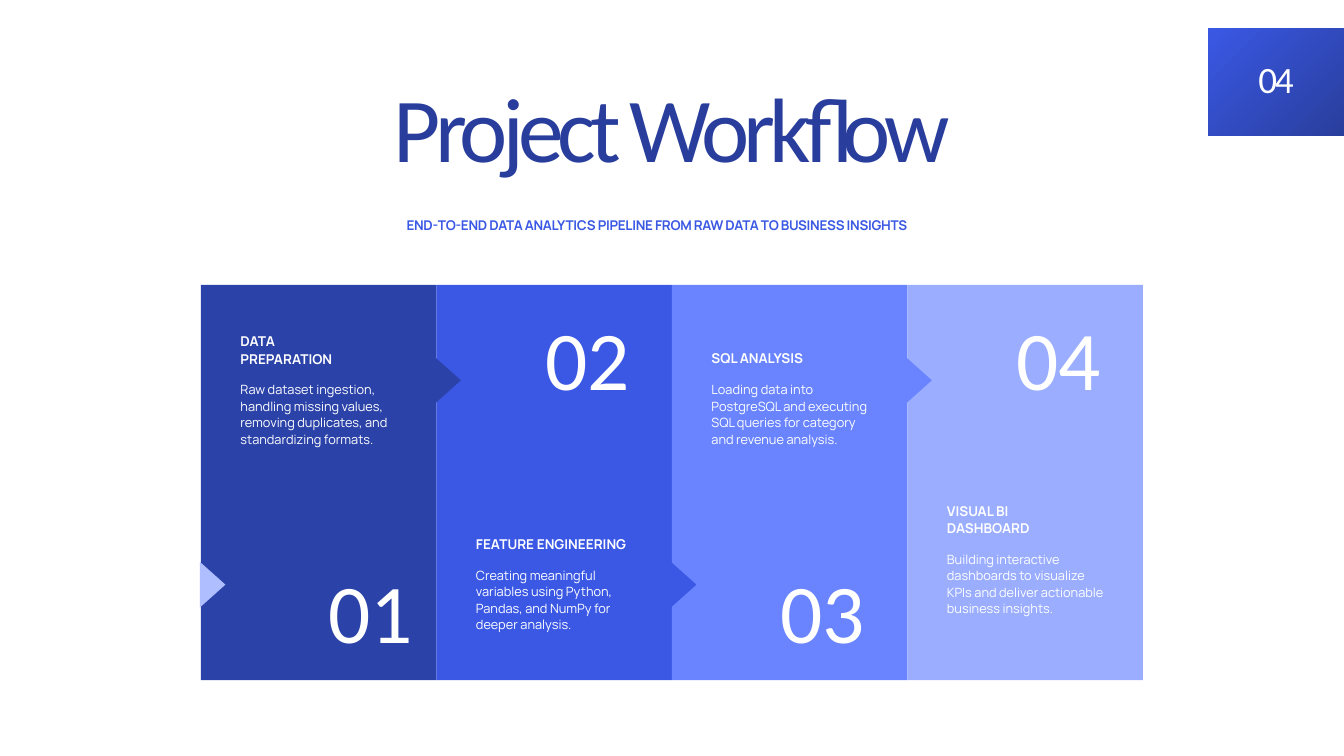
from lxml import etree
from pptx import Presentation
from pptx.dml.color import RGBColor
from pptx.enum import shapes, text
from pptx.oxml import ns
from pptx.util import Pt

WHITE = RGBColor(0xFF, 0xFF, 0xFF)
NAVY = RGBColor(0x29, 0x3E, 0x9C)
INDIGO = RGBColor(0x2B, 0x42, 0xA8)
ROYAL = RGBColor(0x3A, 0x58, 0xE4)
PERIWINKLE = RGBColor(0x69, 0x84, 0xFE)
LAVENDER = RGBColor(0x9A, 0xAD, 0xFF)
PALE = RGBColor(0xAF, 0xBE, 0xFF)

LEFT = text.PP_ALIGN.LEFT
CENTER = text.PP_ALIGN.CENTER
JUSTIFY = text.PP_ALIGN.JUSTIFY

COLUMN_LEFT, COLUMN_TOP = 215.3, 305.3
COLUMN_STEP, COLUMN_HEIGHT = 252.3, 423.4
TEXT_INSET, TEXT_WIDTH = 42.4, 168.5
ARROW_SPAN, ARROW_DEPTH = 49, 27.4
UPPER_ARROW, LOWER_ARROW = 393.8, 612.7
UPPER_NUMBER, LOWER_NUMBER = 320.4, 591.8

# colour, heading lines, body, body top, body height, number left, number width
STEPS = [
    (INDIGO, ["DATA", "PREPARATION"],
     "Raw dataset ingestion, handling missing values, removing duplicates, "
     "and standardizing formats.", 408.2, 86.4, 352.1, 113.8),
    (ROYAL, ["FEATURE ENGINEERING"],
     "Creating meaningful variables using Python, Pandas, and NumPy for "
     "deeper analysis.", 607, 69.1, 584.6, 124.6),
    (PERIWINKLE, ["SQL ANALYSIS"],
     "Loading data into PostgreSQL and executing SQL queries for category "
     "and revenue analysis.", 408.2, 86.4, 835.9, 134.6),
    (LAVENDER, ["VISUAL BI", "DASHBOARD"],
     "Building interactive dashboards to visualize KPIs and deliver "
     "actionable business insights.", 589.7, 86.4, 1089.4, 124.6),
]


class SlideBuilder:
    def __init__(self, slide):
        self.slide = slide
        self.heading_font = "Calibri"
        self.body_font = "Manrope"

    def paint(self, fill, color, owner):
        """Fill with one colour, or with a (start, end) pair from the top left."""
        if isinstance(color, RGBColor):
            fill.solid()
            fill.fore_color.rgb = color
            return
        fill.gradient()
        for stop, stop_color in zip(fill.gradient_stops, color):
            stop.color.rgb = stop_color
        gradient = owner.find(ns.qn("a:gradFill"))
        gradient.remove(gradient.find(ns.qn("a:lin")))
        circle = etree.SubElement(gradient, ns.qn("a:path"), {"path": "circle"})
        etree.SubElement(circle, ns.qn("a:fillToRect"),
                         {"l": "0", "t": "0", "r": "100000", "b": "100000"})

    def block(self, left, top, width, height, color,
              kind=shapes.MSO_SHAPE.RECTANGLE, rotation=0):
        shape = self.slide.shapes.add_shape(
            kind, Pt(left), Pt(top), Pt(width), Pt(height))
        shape.shadow.inherit = False
        shape.rotation = rotation
        shape.line.fill.background()
        self.paint(shape.fill, color, shape.element.spPr)

    def arrow(self, left, top, color):
        self.block(left, top, ARROW_SPAN, ARROW_DEPTH, color,
                   shapes.MSO_SHAPE.ISOSCELES_TRIANGLE, 90)

    def label(self, left, top, width, height, lines, size, spacing, font,
              color=WHITE, align=LEFT, bold=False, tracking=0):
        box = self.slide.shapes.add_textbox(
            Pt(left), Pt(top), Pt(width), Pt(height))
        frame = box.text_frame
        frame.word_wrap = True
        frame.auto_size = text.MSO_AUTO_SIZE.SHAPE_TO_FIT_TEXT
        frame.margin_left = frame.margin_right = 0
        frame.margin_top = frame.margin_bottom = 0
        for index, line in enumerate(lines):
            paragraph = frame.add_paragraph() if index else frame.paragraphs[0]
            paragraph.alignment = align
            paragraph.line_spacing = Pt(spacing)
            run = paragraph.add_run()
            run.text = line
            run.font.name = font
            run.font.size = Pt(size)
            run.font.bold = bold
            properties = run._r.get_or_add_rPr()
            self.paint(run.font.fill, color, properties)
            if tracking:
                properties.set("spc", str(round(tracking * 100)))

    def step_text(self, left, heading, body, top, height):
        """Heading lines stacked upwards from the body text."""
        heading_height = 18 * len(heading)
        self.label(left, top - 16.6 - heading_height, TEXT_WIDTH, heading_height,
                   heading, 14.5, 18.7, self.body_font, align=JUSTIFY, bold=True)
        self.label(left, top, TEXT_WIDTH, height, [body], 13.7, 17.7,
                   self.body_font)

    def number(self, left, top, width, value):
        self.label(left, top, width, 111.6, [f"{value:02}"], 89.4, 115.4,
                   self.heading_font, align=JUSTIFY, tracking=-0.3)


def main():
    presentation = Presentation()
    presentation.slide_width = Pt(1440)
    presentation.slide_height = Pt(810)
    slide = presentation.slides.add_slide(presentation.slide_layouts[6])
    builder = SlideBuilder(slide)

    builder.block(1294.6, 31, 145.4, 114.5, (ROYAL, NAVY))
    builder.label(1313.3, 69.1, 108, 42.5, ["04"], 39.8, 39,
                  builder.heading_font, align=CENTER, tracking=-2.5)
    builder.label(435.6, 229.7, 555.1, 18.7,
                  ["END-TO-END DATA ANALYTICS PIPELINE FROM RAW DATA TO "
                   "BUSINESS INSIGHTS"], 14.4, 20.1, builder.body_font,
                  (ROYAL, NAVY), bold=True, tracking=-0.3)
    builder.label(265, 97.9, 910, 100, ["Project Workflow"], 97.9, 96,
                  builder.heading_font, (NAVY, ROYAL), CENTER, tracking=-6.3)

    lefts = [COLUMN_LEFT + COLUMN_STEP * i for i in range(len(STEPS))]
    colors = [step[0] for step in STEPS]
    for left, color in zip(lefts, colors):
        builder.block(left, COLUMN_TOP, COLUMN_STEP, COLUMN_HEIGHT, color)
    for index, (left, color) in enumerate(zip(lefts, [PALE] + colors)):
        builder.arrow(left - 12, UPPER_ARROW if index % 2 else LOWER_ARROW, color)
    for index, (left, step) in enumerate(zip(lefts, STEPS)):
        _, heading, body, top, height, number_left, number_width = step
        builder.step_text(left + TEXT_INSET, heading, body, top, height)
        builder.number(number_left, UPPER_NUMBER if index % 2 else LOWER_NUMBER,
                       number_width, index + 1)

    presentation.save("out.pptx")


if __name__ == "__main__":
    main()
